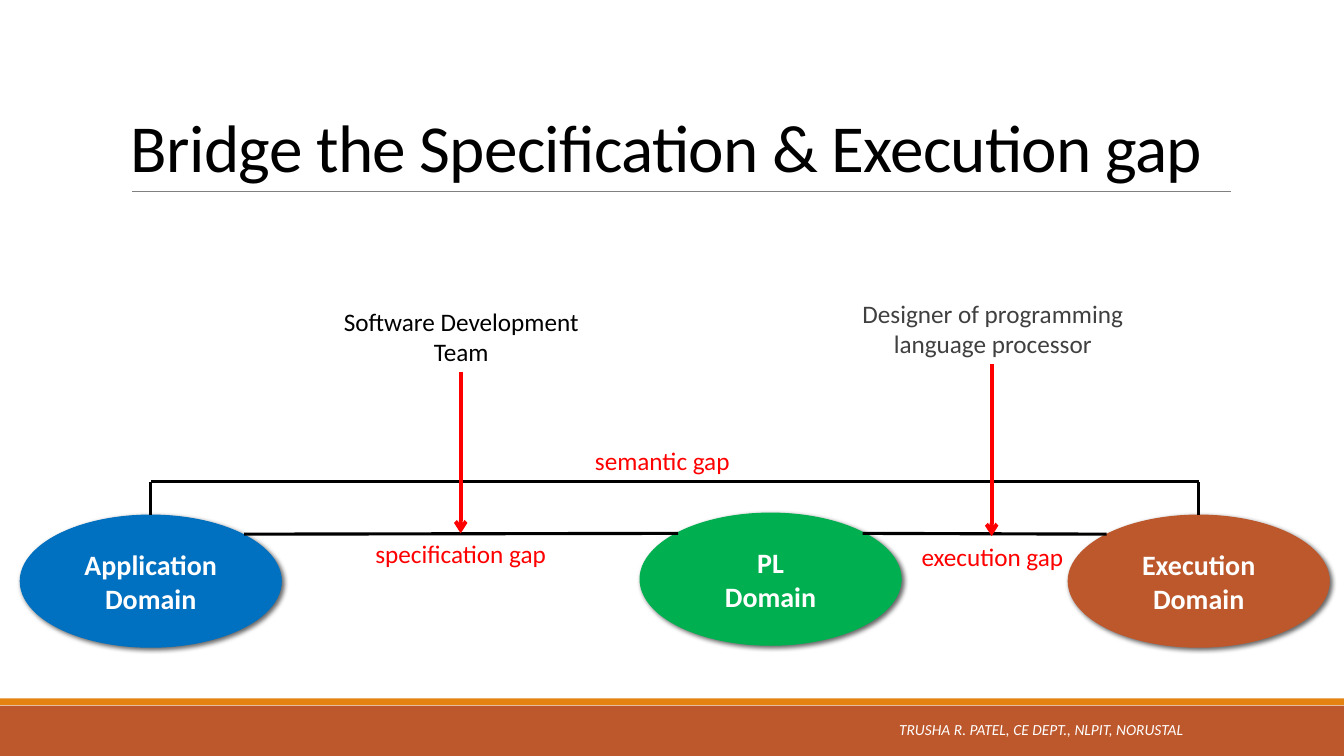
"""Builds a slide on bridging the specification and execution gaps."""
from lxml import etree
from pptx import Presentation
from pptx.dml.color import RGBColor
from pptx.enum.shapes import MSO_CONNECTOR, MSO_SHAPE
from pptx.enum.text import MSO_ANCHOR, MSO_AUTO_SIZE, PP_ALIGN
from pptx.oxml.ns import qn
from pptx.util import Cm, Pt

STRAIGHT = MSO_CONNECTOR.STRAIGHT
RECTANGLE, OVAL = MSO_SHAPE.RECTANGLE, MSO_SHAPE.OVAL
TOP, MIDDLE, BOTTOM = MSO_ANCHOR.TOP, MSO_ANCHOR.MIDDLE, MSO_ANCHOR.BOTTOM
LEFT, CENTER, RIGHT = PP_ALIGN.LEFT, PP_ALIGN.CENTER, PP_ALIGN.RIGHT
GROW = MSO_AUTO_SIZE.SHAPE_TO_FIT_TEXT
TOP_SITE = 0

COLORS = {
    "black": "000000", "white": "FFFFFF", "dark": "404040", "gray": "808080",
    "red": "FF0000", "blue": "0070C0", "green": "00B050",
    "rust": "BD582C", "orange": "E48312",
}


class GapSlide:
    """Holds the style and the current page."""

    font = "Calibri"

    def __init__(self, deck):
        """Adds a blank page to the deck."""
        self.page = deck.slides.add_slide(deck.slide_layouts[6])

    def color(self, name):
        """Returns a named color."""
        return RGBColor.from_string(COLORS[name])

    def fill_text(self, box, text, size, color, align, anchor, bold=False, italic=False):
        """Puts styled text into a box."""
        frame = box.text_frame
        frame.text = text
        frame.vertical_anchor = anchor
        for para in frame.paragraphs:
            para.alignment = align
            for span in para.runs:
                font = span.font
                font.name, font.size = self.font, Pt(size)
                font.bold, font.italic = bold, italic
                font.color.rgb = self.color(color)

    def text(self, place, text, size, color, align=LEFT, anchor=TOP, italic=False):
        """Adds a wrapping text box."""
        box = self.page.shapes.add_textbox(*map(Cm, place))
        box.text_frame.word_wrap = True
        self.fill_text(box, text, size, color, align, anchor, italic=italic)
        return box

    def label(self, place, text, color):
        """Adds a centred label that fits its text."""
        box = self.text(place, text, 18, color, CENTER)
        box.text_frame.word_wrap = False
        box.text_frame.auto_size = GROW

    def title(self, place, text):
        """Adds the tightly set title."""
        box = self.text(place, text, 48, "black", anchor=BOTTOM)
        para = box.text_frame.paragraphs[0]
        para.line_spacing = 0.85
        para.runs[0].font._element.set("spc", "-50")

    def shape(self, kind, place, color):
        """Adds a filled shape without a shadow."""
        shape = self.page.shapes.add_shape(kind, *map(Cm, place))
        shape.fill.solid()
        shape.fill.fore_color.rgb = self.color(color)
        shape.line.fill.background()
        shape.shadow.inherit = False
        return shape

    def domain(self, left, top, text, color):
        """Adds a domain ellipse with a soft shadow."""
        oval = self.shape(OVAL, (left, top, 6.58, 3.33), color)
        oval.line.color.rgb = self.color(color)
        oval.line.width = Pt(0.75)
        effects = oval._element.spPr.find(qn("a:effectLst"))
        shadow = etree.SubElement(
            effects, qn("a:outerShdw"), blurRad=str(Pt(3.5)), dist=str(Pt(2)),
            dir="2700000", algn="tl", rotWithShape="0")
        tint = etree.SubElement(shadow, qn("a:srgbClr"), val=COLORS["black"])
        etree.SubElement(tint, qn("a:alpha"), val="60000")
        self.fill_text(oval, text, 20, "white", CENTER, MIDDLE, bold=True)
        return oval

    def line(self, ends, color="black", width=2.25, arrow=False):
        """Adds a straight line, with an arrowhead at its end if asked."""
        line = self.page.shapes.add_connector(STRAIGHT, *map(Cm, ends))
        line.line.color.rgb = self.color(color)
        line.line.width = Pt(width)
        properties = line._element.spPr
        if arrow:
            etree.SubElement(properties.find(qn("a:ln")), qn("a:tailEnd"), type="arrow")
        etree.SubElement(properties, qn("a:effectLst"))
        return line


def main():
    """Builds and saves the deck."""
    deck = Presentation()
    deck.slide_width, deck.slide_height = Cm(33.87), Cm(19.05)
    slide = GapSlide(deck)

    slide.shape(RECTANGLE, (0, 17.78, 33.87, 1.27), "rust")
    slide.shape(RECTANGLE, (0, 17.6, 33.87, 0.17), "orange")
    slide.line((3.33, 4.83, 31.01, 4.83), "gray", 0.5)
    slide.title((3.05, 0.79, 27.94, 4.04), "Bridge the Specification & Execution gap")
    slide.text((16.69, 17.86, 13.39, 1.02), "TRUSHA R. PATEL, CE DEPT., NLPIT, NORUSTAL",
               11, "white", RIGHT, MIDDLE, italic=True)

    application = slide.domain(0.51, 12.98, "Application Domain", "blue")
    execution = slide.domain(26.92, 12.98, "Execution\nDomain", "rust")
    slide.domain(16.13, 12.93, "PL\nDomain", "green")

    bracket_left, bracket_right, bracket_top = 3.8, 30.21, 12.14
    slide.line((bracket_left, bracket_top, bracket_right, bracket_top))
    for x, oval in ((bracket_left, application), (bracket_right, execution)):
        slide.line((x, bracket_top, x, 12.98)).end_connect(oval, TOP_SITE)
    slide.line((6.15, 13.46, 17.09, 13.44))
    slide.line((21.74, 13.44, 27.89, 13.46))

    slide.label((14.71, 11.1, 3.96, 1.02), "semantic gap", "red")
    slide.label((9.17, 13.44, 4.88, 1.02), "specification gap", "red")
    slide.label((22.94, 13.51, 4.14, 1.02), "execution gap", "red")
    slide.line((11.61, 9.37, 11.61, 13.44), "red", 2.75, arrow=True)
    slide.line((24.99, 9.17, 24.99, 13.51), "red", 2.75, arrow=True)
    slide.label((21.44, 7.39, 7.16, 1.8), "Designer of programming\nlanguage processor", "dark")
    slide.label((8.36, 7.59, 6.53, 1.8), "Software Development\nTeam", "black")

    deck.save("out.pptx")


if __name__ == "__main__":
    main()
